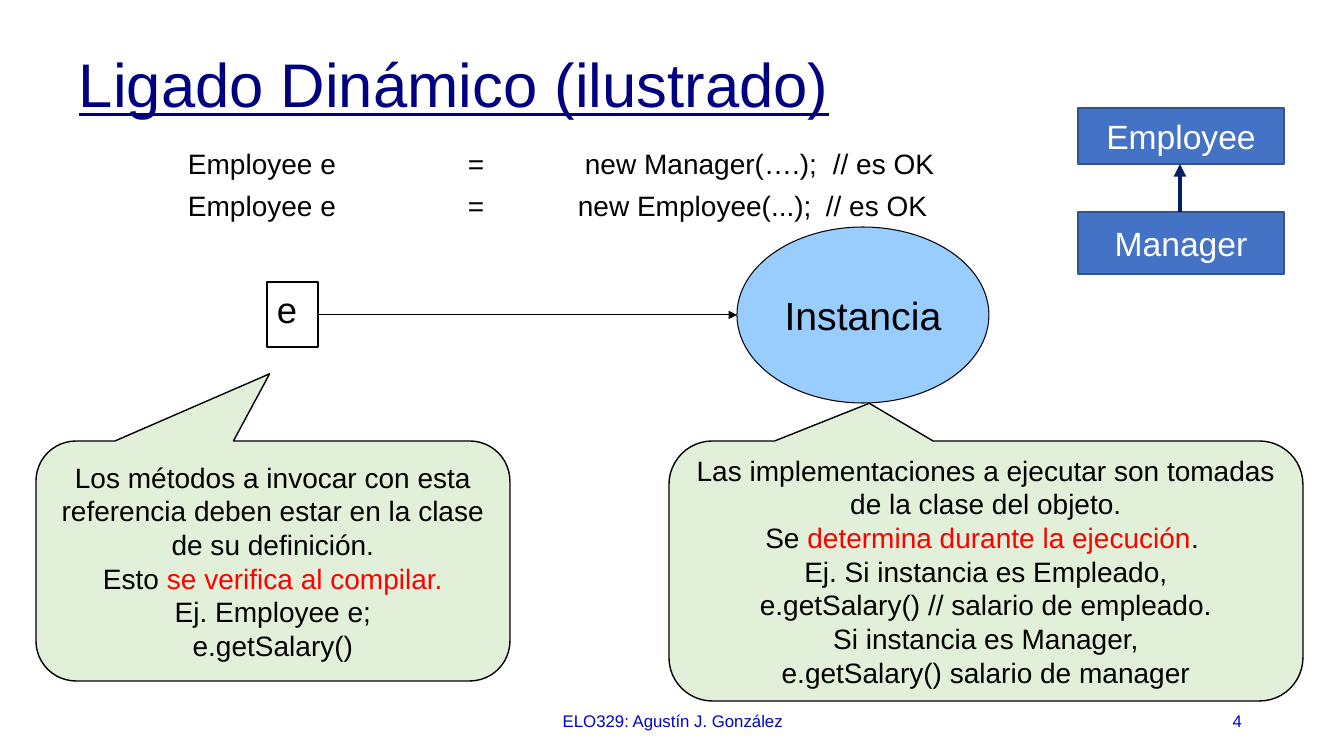
from lxml import etree
from pptx import Presentation
from pptx.dml.color import RGBColor
from pptx.enum.shapes import MSO_CONNECTOR, MSO_SHAPE
from pptx.enum.text import MSO_ANCHOR, PP_ALIGN
from pptx.oxml.ns import qn
from pptx.util import Pt

LEFT, CENTER, RIGHT = PP_ALIGN.LEFT, PP_ALIGN.CENTER, PP_ALIGN.RIGHT
TOP, MIDDLE = MSO_ANCHOR.TOP, MSO_ANCHOR.MIDDLE
RECTANGLE, OVAL = MSO_SHAPE.RECTANGLE, MSO_SHAPE.OVAL
CALLOUT = MSO_SHAPE.ROUNDED_RECTANGULAR_CALLOUT
STRAIGHT = MSO_CONNECTOR.STRAIGHT

FONT = "Arial"
SCALE = 914400 / 100.8
COLORS = {
    "title": "000080", "footer": "0000CC", "text": "000000", "accent": "FF0000",
    "white": "FFFFFF", "instance": "99CCFF", "note": "E2F0D9",
    "class": "4472C4", "class_line": "325491", "inherit": "002060",
}


def px(value):
    return round(value * SCALE)


def color(name):
    return RGBColor.from_string(COLORS[name])


def write(box, paragraphs, size, ink="text", align=CENTER, anchor=MIDDLE,
          underline=None, spacing=None, after=0):
    """Each paragraph is a string or a list of (text, colour name) spans."""
    frame = box.text_frame
    frame.word_wrap = True
    frame.vertical_anchor = anchor
    for index, content in enumerate(paragraphs):
        para = frame.add_paragraph() if index else frame.paragraphs[0]
        para.alignment = align
        para.space_after = Pt(after)
        if spacing:
            para.line_spacing = spacing
        spans = [(content, ink)] if isinstance(content, str) else content
        for text, span_ink in spans:
            span = para.add_run()
            span.text = text
            span.font.name = FONT
            span.font.size = Pt(size)
            span.font.underline = underline
            span.font.color.rgb = color(span_ink)


def add_text(page, area, paragraphs, size, **style):
    box = page.shapes.add_textbox(*map(px, area))
    write(box, paragraphs, size, **style)
    return box


def add_box(page, kind, area, paragraphs, size, fill=None, line="text",
            width=1, adjust=(), **style):
    box = page.shapes.add_shape(kind, *map(px, area))
    box.shadow.inherit = False
    for index, value in enumerate(adjust):
        box.adjustments[index] = value
    if fill:
        box.fill.solid()
        box.fill.fore_color.rgb = color(fill)
    else:
        box.fill.background()
    box.line.color.rgb = color(line)
    box.line.width = Pt(width)
    write(box, paragraphs, size, **style)


def add_arrow(page, start, end, ink, width):
    arrow = page.shapes.add_connector(STRAIGHT, *map(px, start + end))
    arrow.line.color.rgb = color(ink)
    arrow.line.width = Pt(width)
    outline = arrow.line._get_or_add_ln()
    etree.SubElement(outline, qn("a:tailEnd"), type="triangle")
    etree.SubElement(arrow._element.spPr, qn("a:effectLst"))


def set_tabs(para, stops):
    tabs = etree.SubElement(para._p.get_or_add_pPr(), qn("a:tabLst"))
    for stop in stops:
        etree.SubElement(tabs, qn("a:tab"), pos=str(px(stop)), algn="l")


def main():
    deck = Presentation()
    deck.slide_width, deck.slide_height = px(1344), px(756)
    page = deck.slides.add_slide(deck.slide_layouts[6])

    # Title and footer
    add_text(page, (69, 40, 1218, 96), ["Ligado Dinámico (ilustrado)"], 44,
             ink="title", align=LEFT, underline=True, spacing=0.9)
    add_text(page, (446, 701, 454, 40), ["ELO329: Agustín J. González"], 12,
             ink="footer")
    add_text(page, (950, 701, 302, 40), ["4"], 12, ink="footer", align=RIGHT)

    # Reference and the instance it points to
    add_box(page, RECTANGLE, (267, 282, 51, 65), ["e"], 26, width=1.5,
            align=LEFT, anchor=TOP)
    add_arrow(page, (318, 315), (737, 315), "text", 0.75)
    add_box(page, OVAL, (737, 227, 252, 176), ["Instancia"], 28,
            fill="instance", width=0.75)

    # Explanations
    add_box(page, CALLOUT, (36, 441, 474, 240), [
        "Los métodos a invocar con esta referencia deben estar en la clase "
        "de su definición.",
        [("Esto ", "text"), ("se verifica al compilar.", "accent")],
        "Ej. Employee e;",
        "e.getSalary()",
    ], 20, fill="note", adjust=(-0.007, -0.78, 0.167))
    add_box(page, CALLOUT, (669, 441, 634, 260), [
        "Las implementaciones a ejecutar son tomadas de la clase del objeto.",
        [("Se ", "text"), ("determina durante la ejecución", "accent"),
         (". ", "text")],
        "Ej. Si instancia es Empleado,",
        "e.getSalary() // salario de empleado.",
        "Si instancia es Manager,",
        "e.getSalary() salario de manager",
    ], 20, fill="note", adjust=(-0.184, -0.645, 0.167))

    # Declarations, aligned with tab stops
    code = add_text(page, (178, 136, 832, 79), [
        "Employee e\t=\tnew Manager(….);\t// es OK",
        "Employee e\t=\tnew Employee(...);\t// es OK",
    ], 20, align=LEFT, anchor=TOP, spacing=1.15, after=2.8)
    for para, stops in zip(code.text_frame.paragraphs,
                           ((280, 397, 645), (280, 390, 638))):
        set_tabs(para, stops)

    # Class hierarchy
    for name, top, height in (("Employee", 108, 56), ("Manager", 212, 62)):
        add_box(page, RECTANGLE, (1078, top, 206, height), [name], 24,
                fill="class", line="class_line", ink="white")
    add_arrow(page, (1180, 212), (1180, 164), "inherit", 3)

    deck.save("out.pptx")


main()
